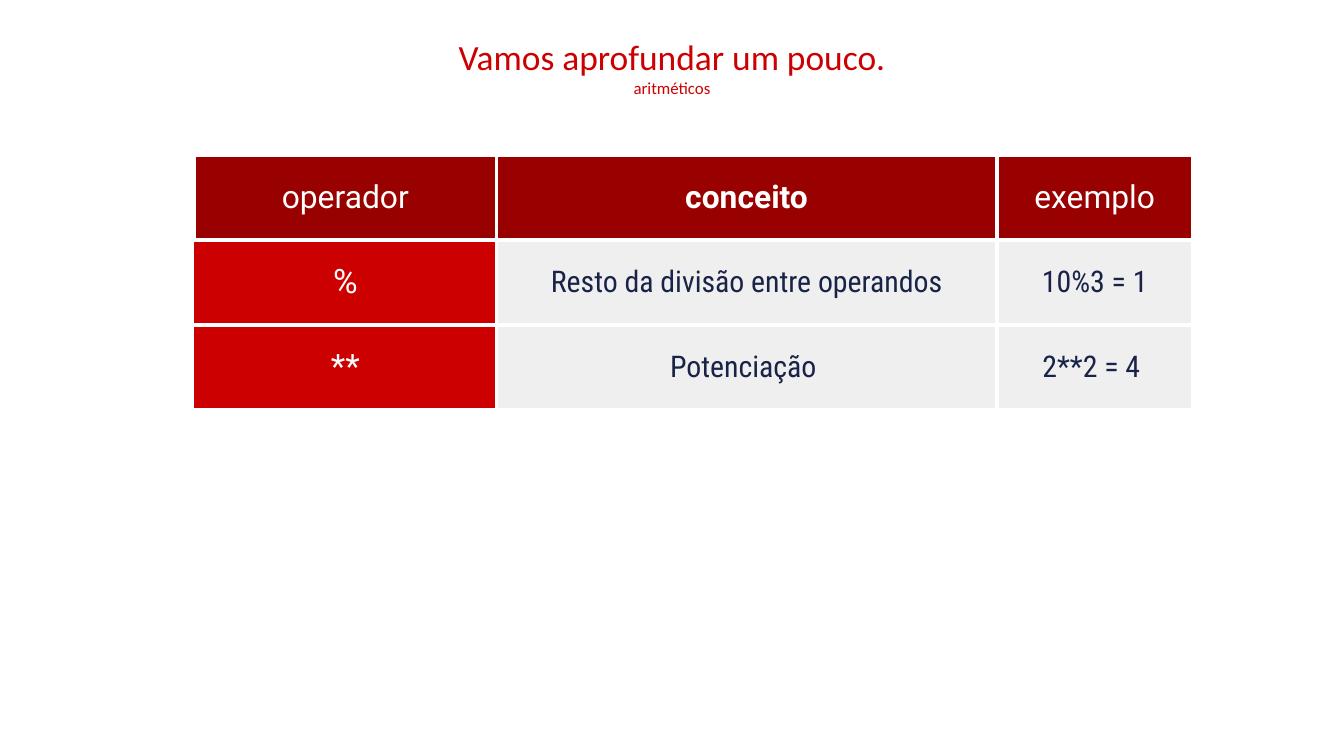
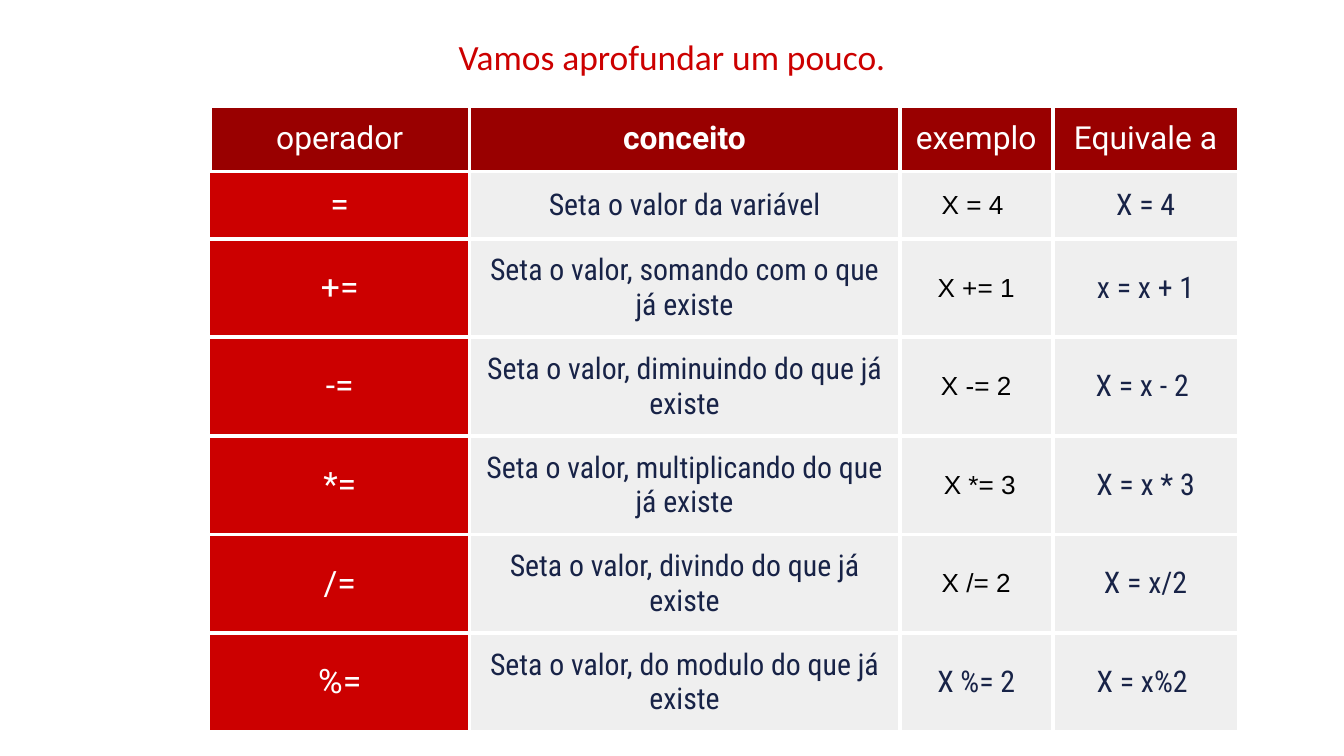
from dataclasses import dataclass, field

from lxml.etree import SubElement
from pptx import Presentation
from pptx.dml.color import RGBColor
from pptx.enum.text import MSO_ANCHOR, PP_ALIGN
from pptx.oxml.ns import qn
from pptx.util import Pt


def style(name, size, color, bold=False):
    return {"name": name, "size": Pt(size), "bold": bold, "color": color}


@dataclass(frozen=True)
class Theme:
    white: str = "FFFFFF"
    dark: str = "990000"
    red: str = "CC0000"
    grey: str = "EFEFEF"
    pad: float = 7.2
    rule: float = 2.25
    text: dict = field(default_factory=lambda: {
        "title": style("Calibri", 19, "CC0000"),
        "sub": style("Calibri", 9, "CC0000"),
        "head": style("Roboto", 17, "FFFFFF"),
        "strong": style("Roboto", 17, "FFFFFF", True),
        "sign": style("Roboto", 18, "FFFFFF"),
        "body": style("Roboto Condensed", 16, "182347"),
        "plain": style("Arial", 14, "000000"),
    })


class Deck:
    def __init__(self, theme):
        self.theme = theme
        self.file = Presentation()
        self.file.slide_width, self.file.slide_height = Pt(720), Pt(405)
        self.slide = None

    def page(self, *lines):
        """Start a slide with its title and optional subtitle."""
        self.slide = self.file.slides.add_slide(self.file.slide_layouts[6])
        box = self.slide.shapes.add_textbox(Pt(56.5), Pt(11.5), Pt(607), Pt(45.5))
        frame = box.text_frame
        frame.word_wrap = True
        self.inset(frame)
        for i, (text, kind) in enumerate(zip(lines, ("title", "sub"))):
            par = frame.add_paragraph() if i else frame.paragraphs[0]
            self.label(par, text, kind)

    def inset(self, item):
        for side in ("left", "right", "top", "bottom"):
            setattr(item, f"margin_{side}", Pt(self.theme.pad))

    def label(self, par, text, kind):
        par.alignment = PP_ALIGN.CENTER
        run = par.add_run()
        run.text = text
        for key, value in self.theme.text[kind].items():
            if key == "color":
                run.font.color.rgb = RGBColor.from_string(value)
            else:
                setattr(run.font, key, value)

    def edge(self, cell, open_left):
        """Draw white cell borders, leaving the left one out if asked."""
        props = cell._tc.get_or_add_tcPr()
        for side in "LRTB":
            line = SubElement(props, qn(f"a:ln{side}"), w=str(Pt(self.theme.rule)))
            if side == "L" and open_left:
                SubElement(line, qn("a:noFill"))
            else:
                fill = SubElement(line, qn("a:solidFill"))
                SubElement(fill, qn("a:srgbClr"), val=self.theme.white)

    def cell(self, cell, text, kind, fill, open_left):
        self.inset(cell)
        cell.vertical_anchor = MSO_ANCHOR.MIDDLE
        self.edge(cell, open_left)
        cell.fill.solid()
        cell.fill.fore_color.rgb = RGBColor.from_string(fill)
        self.label(cell.text_frame.paragraphs[0], text, kind)

    def table(self, left, top, cols, rows, data, plain=()):
        """Add a table; plain lists the (row, column) cells in plain type."""
        look = self.theme
        grid = self.slide.shapes.add_table(
            len(rows), len(cols), Pt(left), Pt(top), Pt(sum(cols)), Pt(sum(rows))).table
        grid.first_row = grid.horz_banding = False
        for col, width in zip(grid.columns, cols):
            col.width = Pt(width)
        for row, height in zip(grid.rows, rows):
            row.height = Pt(height)
        for r, line in enumerate(data):
            for c, text in enumerate(line):
                if r == 0:
                    kind, fill = "strong" if c == 1 else "head", look.dark
                elif c == 0:
                    kind, fill = "sign", look.red
                else:
                    kind, fill = "plain" if (r, c) in plain else "body", look.grey
                self.cell(grid.cell(r, c), text, kind, fill, r > 0 and c == 0)


TITLE = "Vamos aprofundar um pouco."
HEAD = ("operador", "conceito", "exemplo")
MATH = [
    HEAD,
    ("%", "Resto da divisão entre operandos", "10%3 = 1"),
    ("**", "Potenciação ", "2**2 = 4 "),
]
ASSIGN = [
    (*HEAD, "Equivale a"),
    ("=", "Seta o valor da variável", "X = 4 ", "X = 4"),
    ("+=", "Seta o valor, somando com o que já existe", "X += 1", "x = x + 1"),
    ("-=", "Seta o valor, diminuindo do que já existe", "X -= 2", "X = x - 2 "),
    ("*=", "Seta o valor, multiplicando do que já existe", " X *= 3", "X = x * 3"),
    ("/=", "Seta o valor, divindo do que já existe", "X /= 2", "X = x/2"),
    ("%=", "Seta o valor, do modulo do que já existe", "X %= 2", "X = x%2 "),
]


def main():
    deck = Deck(Theme())
    deck.page(TITLE, "aritméticos")
    deck.table(104, 83, (162, 268, 105), [45.5] * 3, MATH)
    deck.page(TITLE)
    deck.table(112.5, 57, (139, 230.5, 82, 99.5), [30, 31.5] + [47] * 5, ASSIGN,
               plain=[(r, 2) for r in range(1, 6)])
    deck.file.save("out.pptx")


if __name__ == "__main__":
    main()
